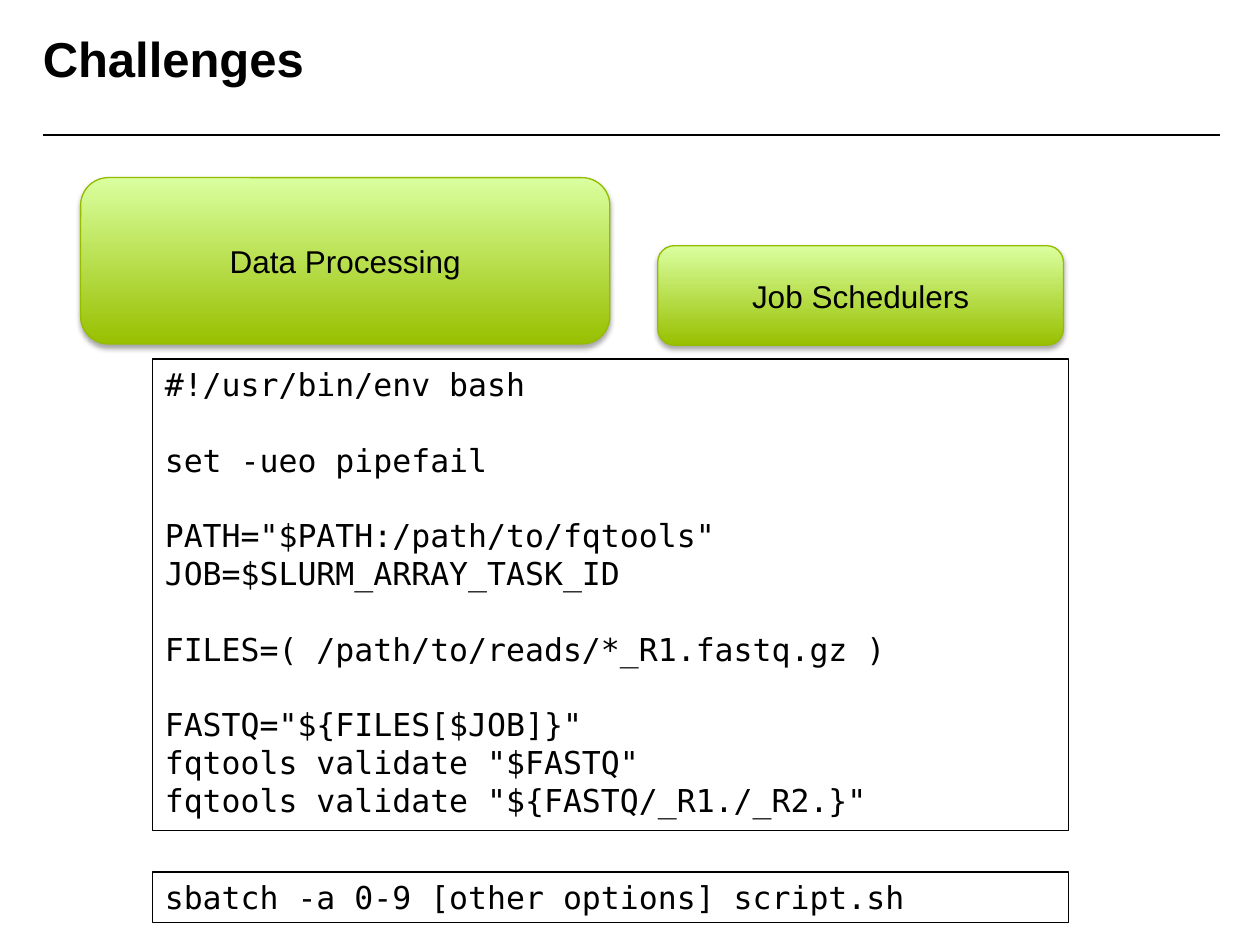
from lxml.etree import SubElement
from pptx import Presentation
from pptx.dml.color import RGBColor
from pptx.enum.shapes import MSO_CONNECTOR, MSO_SHAPE
from pptx.enum.text import MSO_ANCHOR, PP_ALIGN
from pptx.oxml.ns import qn
from pptx.util import Inches, Pt

BLACK, GREEN, LIGHT_GREEN, EDGE_GREEN = "000000", "98C000", "DAFFA0", "95BC00"
SANS, MONO = "Arial", "DejaVu Sans Mono"
CODE_LINE = 21.6  # points, the gap between groups of code lines

TITLE = "Challenges"
TOPICS = [
    ("Data Processing", (0.64, 1.41, 4.2, 1.32)),
    ("Job Schedulers", (5.22, 1.95, 3.22, 0.79)),
]
SCRIPT_GROUPS = [
    ["#!/usr/bin/env bash"],
    ["set -ueo pipefail"],
    ['PATH="$PATH:/path/to/fqtools"', "JOB=$SLURM_ARRAY_TASK_ID"],
    ["FILES=( /path/to/reads/*_R1.fastq.gz )"],
    [
        'FASTQ="${FILES[$JOB]}"',
        'fqtools validate "$FASTQ"',
        'fqtools validate "${FASTQ/_R1./_R2.}"',
    ],
]
COMMAND_GROUPS = [["sbatch -a 0-9 [other options] script.sh"]]
CODE_BOXES = [
    (SCRIPT_GROUPS, (1.21, 2.85, 7.27, 3.74)),
    (COMMAND_GROUPS, (1.21, 6.92, 7.27, 0.4)),
]


def color(value):
    return RGBColor.from_string(value)


def inches(place):
    return [Inches(length) for length in place]


def write(frame, groups, font=SANS, size=18, bold=False,
          align=PP_ALIGN.LEFT, anchor=MSO_ANCHOR.TOP, gap=0):
    """Write groups of lines, one paragraph a line, with a gap between groups."""
    frame.word_wrap = True
    frame.vertical_anchor = anchor
    para = None
    for group in groups:
        for index, text in enumerate(group):
            first = para is None
            para = frame.paragraphs[0] if first else frame.add_paragraph()
            para.alignment = align
            if gap and index == 0 and not first:
                para.space_before = Pt(gap)
            span = para.add_run()
            span.text = text
            span.font.name = font
            span.font.size = Pt(size)
            span.font.bold = bold
            span.font.color.rgb = color(BLACK)


def add_outlined(page, kind, place, line):
    shape = page.shapes.add_shape(kind, *inches(place))
    shape.shadow.inherit = False
    shape.line.color.rgb = color(line)
    shape.line.width = Pt(0.75)
    return shape


def add_drop_shadow(shape):
    effects = shape._element.spPr.find(qn("a:effectLst"))
    shadow = SubElement(effects, qn("a:outerShdw"), blurRad=str(Pt(3.1)),
                        dist=str(Pt(1.8)), dir="5400000", rotWithShape="0")
    tint = SubElement(shadow, qn("a:srgbClr"), val=BLACK)
    SubElement(tint, qn("a:alpha"), val="35000")


def add_title(page):
    box = page.shapes.add_textbox(*inches((0.34, 0.23, 9.34, 0.69)))
    frame = box.text_frame
    frame.margin_left = frame.margin_right = 0
    frame.margin_top = frame.margin_bottom = 0
    write(frame, [[TITLE]], size=28, bold=True)
    rule = page.shapes.add_connector(
        MSO_CONNECTOR.STRAIGHT, *inches((0.34, 1.07, 9.68, 1.07)))
    rule.line.color.rgb = color(BLACK)
    rule.line.width = Pt(1)
    SubElement(rule._element.spPr, qn("a:effectLst"))


def add_topic(page, text, place):
    shape = add_outlined(page, MSO_SHAPE.ROUNDED_RECTANGLE, place, EDGE_GREEN)
    shape.fill.gradient()
    shape.fill.gradient_angle = 90
    for stop, value in zip(shape.fill.gradient_stops, (GREEN, LIGHT_GREEN)):
        stop.color.rgb = color(value)
    add_drop_shadow(shape)
    write(shape.text_frame, [[text]], align=PP_ALIGN.CENTER,
          anchor=MSO_ANCHOR.MIDDLE)


def add_code(page, groups, place):
    shape = add_outlined(page, MSO_SHAPE.RECTANGLE, place, BLACK)
    shape.fill.background()
    write(shape.text_frame, groups, font=MONO, gap=CODE_LINE)


def main():
    deck = Presentation()
    deck.slide_width, deck.slide_height = Inches(10), Inches(7.5)
    page = deck.slides.add_slide(deck.slide_layouts[6])
    add_title(page)
    for text, place in TOPICS:
        add_topic(page, text, place)
    for groups, place in CODE_BOXES:
        add_code(page, groups, place)
    deck.save("out.pptx")


if __name__ == "__main__":
    main()
